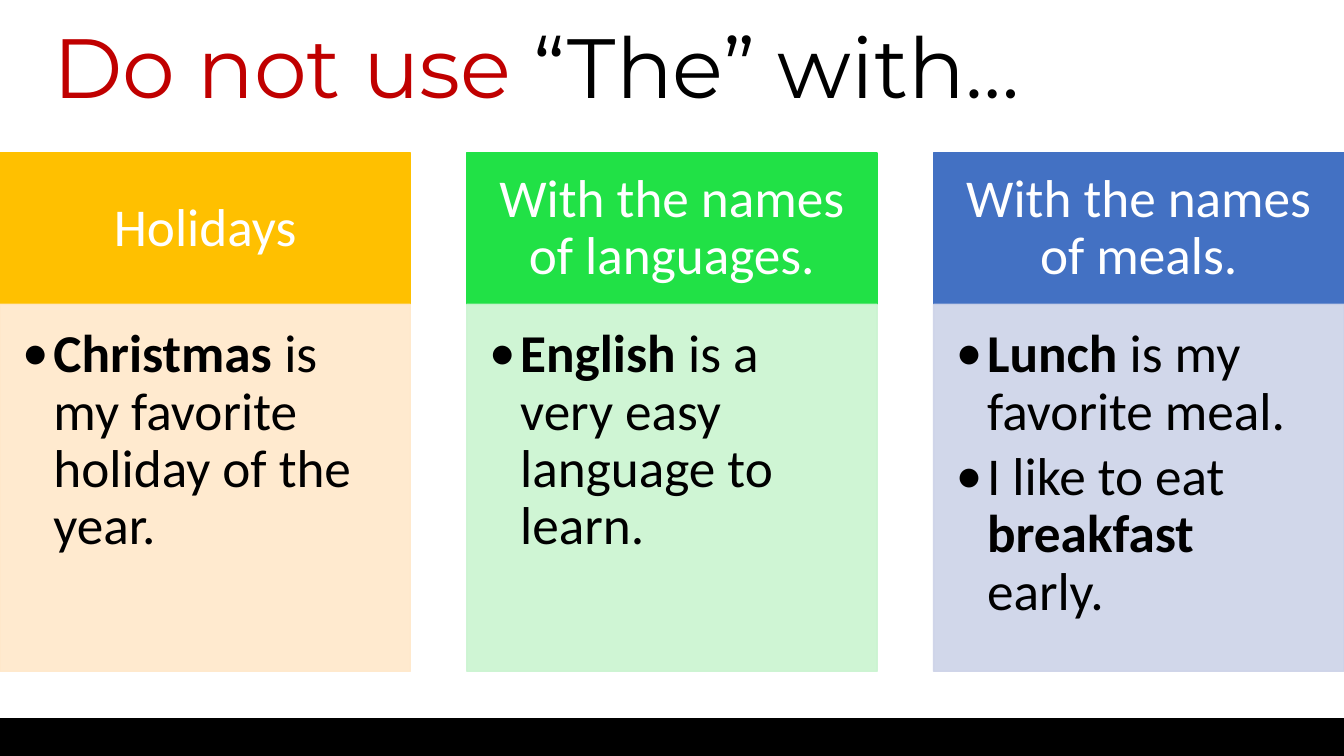
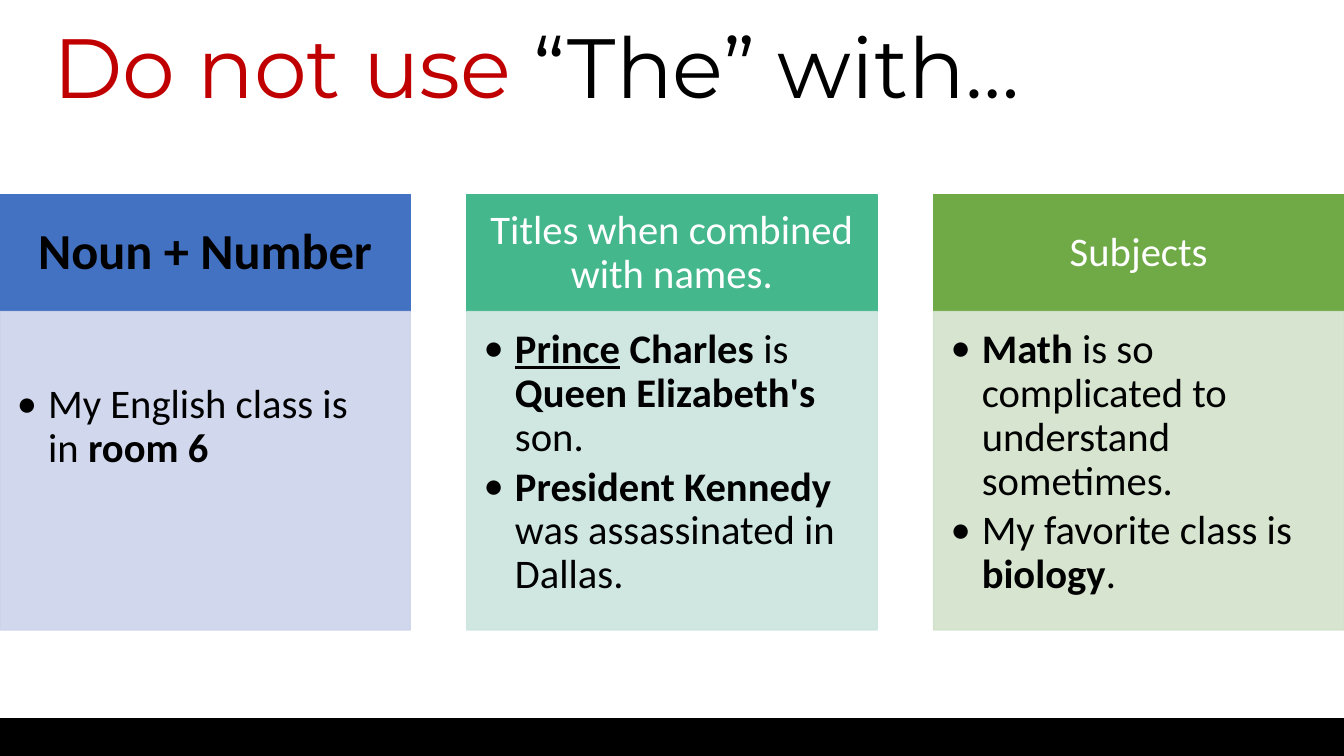
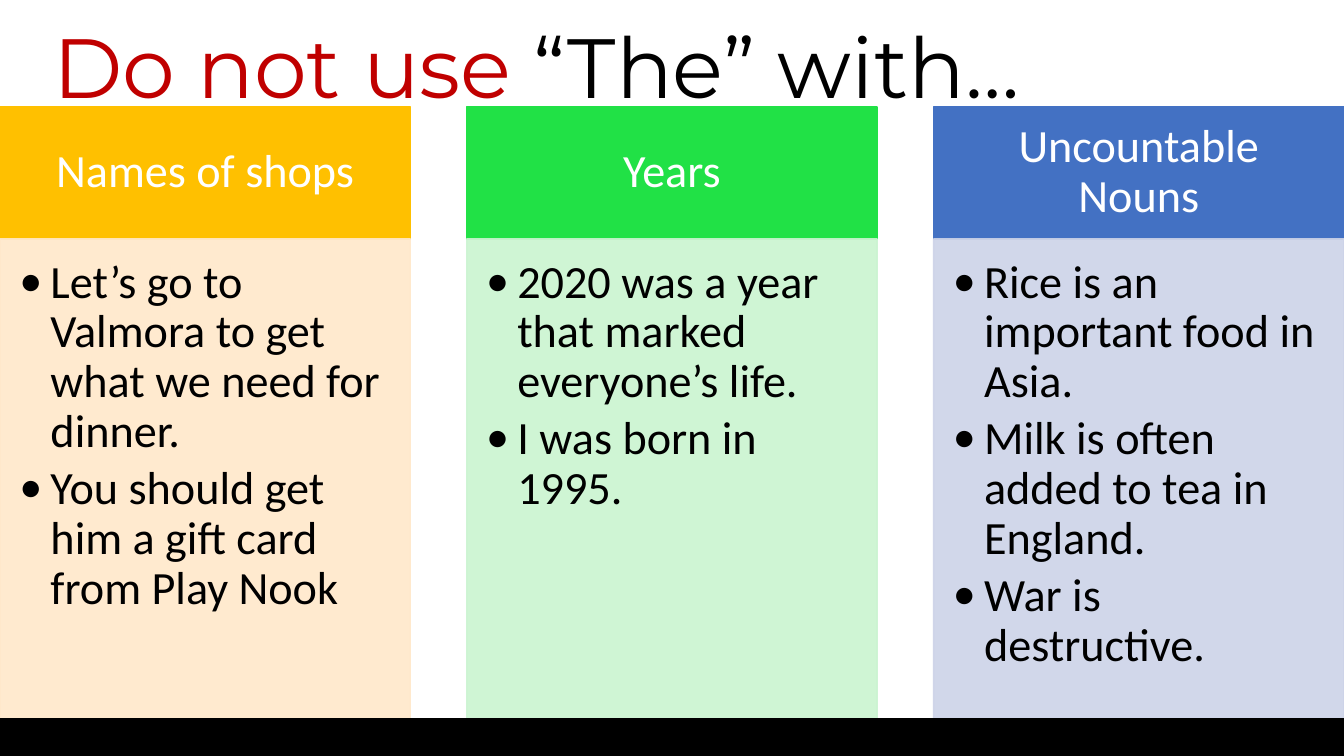
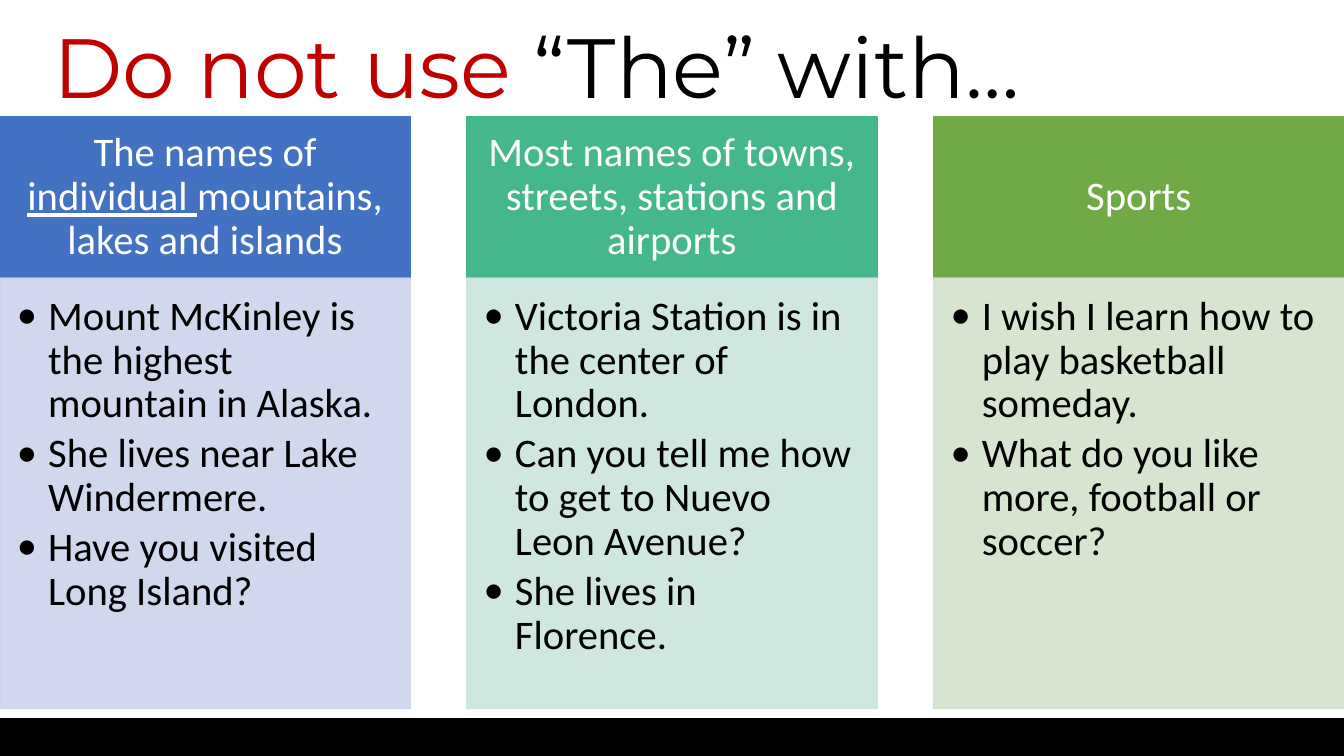
from dataclasses import dataclass
from typing import NamedTuple, Sequence

from lxml.etree import SubElement
from pptx import Presentation
from pptx.dml.color import RGBColor
from pptx.enum.shapes import MSO_SHAPE
from pptx.enum.text import MSO_ANCHOR, PP_ALIGN
from pptx.oxml.ns import qn
from pptx.util import Inches, Pt


class Tint(NamedTuple):
    header: str
    body: str


@dataclass(frozen=True)
class Theme:
    heading_font: str = "Montserrat"
    body_font: str = "Calibri"
    heading_size: float = 60
    label_size: float = 36
    line_spacing: float = 0.9
    body_opacity: int = 90
    ink: str = "000000"
    paper: str = "FFFFFF"
    warning: str = "C00000"
    bright: tuple[Tint, ...] = (
        Tint("FFC000", "FFE8CA"), Tint("21E146", "CAF4D0"), Tint("4371C3", "CDD3E8"))
    cool: tuple[Tint, ...] = (
        Tint("4372C3", "CCD3EA"), Tint("44B78C", "CBE5DE"), Tint("6FAA47", "D2E2CB"))


class Run(NamedTuple):
    text: str
    bold: bool = False
    underline: bool = False
    color: str | None = None


class Box(NamedTuple):
    """A rectangle in inches."""
    left: float
    top: float
    width: float
    height: float


class Insets(NamedTuple):
    left: float
    top: float
    right: float
    bottom: float


Line = Sequence[Run]


@dataclass(frozen=True)
class Rule:
    """One column: a heading and its example sentences."""
    heading: Line
    examples: Sequence[Line]
    emphasized: bool = False
    drop: float = 0


@dataclass(frozen=True)
class Lesson:
    """One slide of rules, with the heights of its rows in inches."""
    top: float
    header_height: float
    body_height: float
    size: float
    tints: tuple[Tint, ...]
    rules: Sequence[Rule]


THEME = Theme()
WIDTH, HEIGHT = 13.33, 7.5
COLUMN_WIDTH = 4.07
COLUMN_PITCH = (WIDTH - COLUMN_WIDTH) / 2
BULLET_INDENT = 0.31
FOOTER = Box(0, 7.13, WIDTH, HEIGHT - 7.13)
TITLE = Box(0.43, 0, 11.92, 1.41)
TITLE_LINE = (Run("Do not use ", color=THEME.warning), Run("“The” with…"))


def plain(text: str) -> Line:
    return (Run(text),)


def bold(text: str) -> Run:
    return Run(text, bold=True)


LESSONS = (
    Lesson(1.52, 1.5, 3.64, 38, THEME.bright, (
        Rule(plain("Holidays"),
             ((bold("Christmas "), Run("is my favorite holiday of the year.")),)),
        Rule(plain("With the names of languages."),
             ((bold("English "), Run("is a very easy language to learn.")),)),
        Rule(plain("With the names of meals."),
             ((bold("Lunch "), Run("is my favorite meal.")),
              (Run("I like to eat "), bold("breakfast "), Run("early.")))),
    )),
    Lesson(1.93, 1.16, 3.16, 29, THEME.cool, (
        Rule((bold("Noun + Number"),),
             ((Run("My English class is in "), bold("room 6")),),
             emphasized=True, drop=0.55),
        Rule(plain("Titles when combined with names."),
             ((Run("Prince", bold=True, underline=True), bold(" Charles "), Run("is "),
               bold("Queen Elizabeth's "), Run("son.")),
              (bold("President Kennedy "), Run("was assassinated in Dallas.")))),
        Rule(plain("Subjects"),
             ((bold("Math "), Run("is so complicated to understand sometimes.")),
              (Run("My favorite class is "), bold("biology"), Run(".")))),
    )),
    Lesson(1.06, 1.31, 4.76, 33, THEME.bright, (
        Rule(plain("Names of shops"),
             (plain("Let’s go to Valmora to get what we need for dinner."),
              plain("You should get him a gift card from Play Nook"))),
        Rule(plain("Years"),
             (plain("2020 was a year that marked everyone’s life."),
              plain("I was born in 1995."))),
        Rule(plain("Uncountable Nouns"),
             (plain("Rice is an important food in Asia."),
              plain("Milk is often added to tea in England."),
              plain("War is destructive."))),
    )),
    Lesson(1.16, 1.6, 4.27, 29, THEME.cool, (
        Rule((Run("The names of "), Run("individual ", underline=True),
              Run("mountains, lakes and islands")),
             (plain("Mount McKinley is the highest mountain in Alaska."),
              plain("She lives near Lake Windermere."),
              plain("Have you visited Long Island?"))),
        Rule(plain("Most names of towns, streets, stations and airports"),
             (plain("Victoria Station is in the center of London."),
              plain("Can you tell me how to get to Nuevo Leon Avenue?"),
              plain("She lives in Florence."))),
        Rule(plain("Sports"),
             (plain("I wish I learn how to play basketball someday."),
              plain("What do you like more, football or soccer?"))),
    )),
)


def add_bullet(paragraph, color: str, font: str) -> None:
    properties = paragraph._p.get_or_add_pPr()
    properties.set("marL", str(Inches(BULLET_INDENT)))
    properties.set("indent", str(-Inches(BULLET_INDENT)))
    bullet_color = SubElement(properties, qn("a:buClr"))
    SubElement(bullet_color, qn("a:srgbClr")).set("val", color)
    SubElement(properties, qn("a:buFont")).set("typeface", font)
    SubElement(properties, qn("a:buChar")).set("char", "•")


def write(shape, lines: Sequence[Line], *, size: float, insets: Insets,
          font: str = THEME.body_font, color: str = THEME.ink,
          align: PP_ALIGN = PP_ALIGN.LEFT, anchor: MSO_ANCHOR = MSO_ANCHOR.MIDDLE,
          bullets: bool = False, gap: float = 0) -> None:
    frame = shape.text_frame
    frame.word_wrap = True
    frame.vertical_anchor = anchor
    frame.margin_left, frame.margin_top, frame.margin_right, frame.margin_bottom = (
        Inches(inset) for inset in insets)
    for index, line in enumerate(lines):
        paragraph = frame.add_paragraph() if index else frame.paragraphs[0]
        if bullets:
            add_bullet(paragraph, color, font)
        paragraph.font.name = font
        paragraph.font.size = Pt(size)
        paragraph.alignment = align
        paragraph.line_spacing = THEME.line_spacing
        if index:
            paragraph.space_before = Pt(gap)
        for part in line:
            run = paragraph.add_run()
            run.text = part.text
            run.font.name = font
            run.font.size = Pt(size)
            run.font.bold = part.bold
            run.font.underline = part.underline
            run.font.color.rgb = RGBColor.from_string(part.color or color)


def add_panel(slide, box: Box, color: str, opacity: int = 100):
    panel = slide.shapes.add_shape(MSO_SHAPE.RECTANGLE, *(Inches(side) for side in box))
    panel.shadow.inherit = False
    panel.fill.solid()
    panel.fill.fore_color.rgb = panel.line.color.rgb = RGBColor.from_string(color)
    panel.line.width = Pt(1)
    if opacity < 100:
        for tone in panel.element.spPr.iter(qn("a:srgbClr")):
            SubElement(tone, qn("a:alpha")).set("val", str(opacity * 1000))
    return panel


def add_rule(slide, lesson: Lesson, column: int) -> None:
    """Draw one column; its insets and gaps grow with the type size."""
    rule, tint, size = lesson.rules[column], lesson.tints[column], lesson.size
    left = column * COLUMN_PITCH
    header_side, header_cap = 0.007 * size, 0.0045 * size
    header = add_panel(
        slide, Box(left, lesson.top, COLUMN_WIDTH, lesson.header_height), tint.header)
    write(header, [rule.heading], align=PP_ALIGN.CENTER,
          size=THEME.label_size if rule.emphasized else size,
          color=THEME.ink if rule.emphasized else THEME.paper,
          insets=Insets(header_side, header_cap, header_side, header_cap))
    body_near = 0.0058 * size
    body = add_panel(
        slide, Box(left, lesson.top + lesson.header_height, COLUMN_WIDTH, lesson.body_height),
        tint.body, THEME.body_opacity)
    write(body, rule.examples, size=size, anchor=MSO_ANCHOR.TOP, bullets=True,
          gap=round(0.15 * size, 1),
          insets=Insets(body_near, body_near + rule.drop, 0.008 * size, 0.0087 * size))


def add_lesson(deck, lesson: Lesson) -> None:
    slide = deck.slides.add_slide(deck.slide_layouts[6])
    title = slide.shapes.add_textbox(*(Inches(side) for side in TITLE))
    write(title, [TITLE_LINE], size=THEME.heading_size, font=THEME.heading_font,
          insets=Insets(0.1, 0.05, 0.1, 0.05))
    for column in range(len(lesson.rules)):
        add_rule(slide, lesson, column)
    add_panel(slide, FOOTER, THEME.ink)


def main() -> None:
    deck = Presentation()
    deck.slide_width, deck.slide_height = Inches(WIDTH), Inches(HEIGHT)
    for lesson in LESSONS:
        add_lesson(deck, lesson)
    deck.save("out.pptx")


if __name__ == "__main__":
    main()
